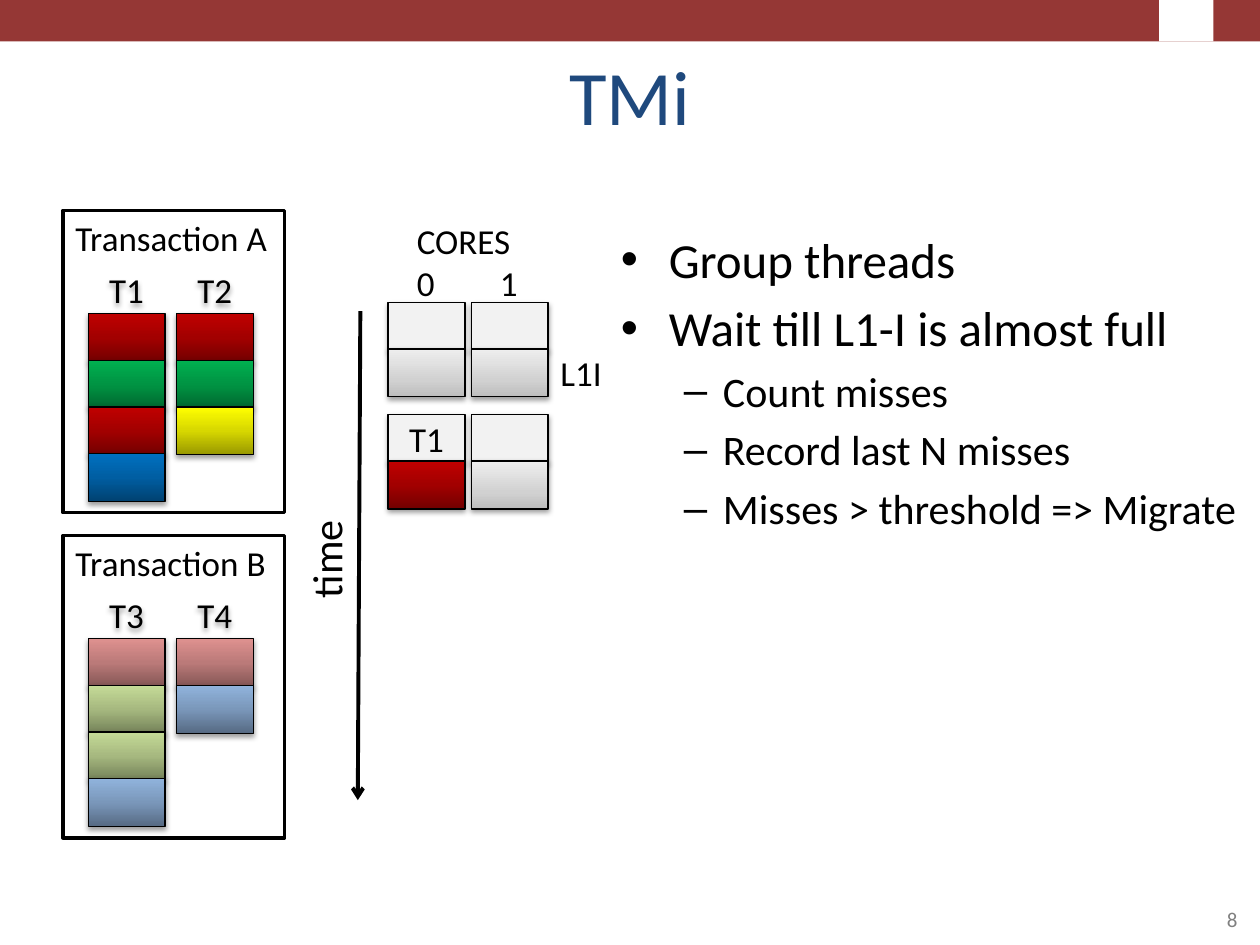
from copy import deepcopy
from dataclasses import dataclass

from lxml import etree
from pptx import Presentation
from pptx.dml.color import RGBColor
from pptx.enum.shapes import MSO_CONNECTOR, MSO_SHAPE
from pptx.enum.text import MSO_ANCHOR, PP_ALIGN
from pptx.oxml.ns import qn
from pptx.util import Inches, Pt

RECTANGLE = MSO_SHAPE.RECTANGLE
STRAIGHT = MSO_CONNECTOR.STRAIGHT
LEFT, CENTER, RIGHT = PP_ALIGN.LEFT, PP_ALIGN.CENTER, PP_ALIGN.RIGHT
TOP, MIDDLE, BOTTOM = MSO_ANCHOR.TOP, MSO_ANCHOR.MIDDLE, MSO_ANCHOR.BOTTOM


@dataclass(frozen=True)
class Theme:
    """Colours, gradients (position and colour, bottom to top) and type sizes."""
    font: str = "Calibri"
    black: str = "000000"
    white: str = "FFFFFF"
    title: str = "1F497D"
    number: str = "808080"
    header: str = "953735"
    empty: str = "F2F2F2"
    gray: tuple = ((0, "BDBDBD"), (0.35, "D1D1D1"), (1, "EEEEEE"))
    red: tuple = ((0, "720000"), (0.5, "A20000"), (1, "C00000"))
    green: tuple = ((0, "00682F"), (0.5, "009443"), (1, "00B050"))
    yellow: tuple = ((0, "979700"), (0.5, "D7D700"), (1, "FFFF00"))
    blue: tuple = ((0, "004272"), (0.5, "005EA2"), (1, "0070C0"))
    pink: tuple = ((0, "845655"), (0.5, "BB7A79"), (1, "DE918F"))
    olive: tuple = ((0, "748259"), (0.5, "A6B87F"), (1, "C5DB97"))
    steel: tuple = ((0, "566A83"), (0.5, "7A97BA"), (1, "90B3DC"))
    title_size: int = 44
    bullet_size: int = 28
    sub_size: int = 24
    label_size: int = 20
    number_size: int = 12


THEME = Theme()
BLOCK_WIDTH, BLOCK_HEIGHT, BLOCK_STEP = 0.61, 0.38, 0.37


def rgb(color):
    """Turn a hex string into a colour."""
    return RGBColor.from_string(color)


def write_text(paragraph, text, size=THEME.label_size, color=THEME.black, align=LEFT):
    """Put one formatted run into a paragraph."""
    paragraph.alignment = align
    run = paragraph.add_run()
    run.text = text
    run.font.name = THEME.font
    run.font.size = Pt(size)
    run.font.color.rgb = rgb(color)


def add_text(slide, box, text, anchor=TOP, wrap=True, **text_format):
    """Add a text box holding one paragraph."""
    shape = slide.shapes.add_textbox(*map(Inches, box))
    shape.text_frame.word_wrap = wrap
    shape.text_frame.vertical_anchor = anchor
    write_text(shape.text_frame.paragraphs[0], text, **text_format)
    return shape


def add_shadow(shape):
    """Give a shape a soft shadow straight below it."""
    properties = shape._element.spPr
    for effects in properties.findall(qn("a:effectLst")):
        properties.remove(effects)
    effects = etree.SubElement(properties, qn("a:effectLst"))
    shadow = etree.SubElement(effects, qn("a:outerShdw"), blurRad=str(Pt(3.1)),
                              dist=str(Pt(1.6)), dir="5400000", rotWithShape="0")
    color = etree.SubElement(shadow, qn("a:srgbClr"), val=THEME.black)
    etree.SubElement(color, qn("a:alpha"), val="38000")


def fill_gradient(shape, stops):
    """Fill a shape with a vertical gradient of three stops."""
    shape.fill.gradient()
    shape.fill.gradient_angle = 90
    stop_list = shape._element.spPr.find(".//" + qn("a:gsLst"))
    stop_list.append(deepcopy(stop_list[-1]))
    for stop, (position, color) in zip(shape.fill.gradient_stops, stops):
        stop.position = position
        stop.color.rgb = rgb(color)


def add_rectangle(slide, box, fill=None, line=None, line_width=0.75):
    """Add a rectangle with a plain, gradient or absent fill."""
    shape = slide.shapes.add_shape(RECTANGLE, *map(Inches, box))
    shape.shadow.inherit = False
    if fill is None:
        shape.fill.background()
    elif isinstance(fill, str):
        shape.fill.solid()
        shape.fill.fore_color.rgb = rgb(fill)
    else:
        fill_gradient(shape, fill)
    if line:
        shape.line.color.rgb = rgb(line)
        shape.line.width = Pt(line_width)
    else:
        shape.line.fill.background()
    return shape


def add_block(slide, left, top, fill):
    """Add one outlined cache block with a shadow."""
    block = add_rectangle(slide, (left, top, BLOCK_WIDTH, BLOCK_HEIGHT), fill, THEME.black)
    add_shadow(block)
    return block


def add_header(slide, box):
    """Draw the top bar with a plain badge near its right end."""
    left, top, width, height = box
    add_rectangle(slide, box, THEME.header)
    add_rectangle(slide, (left + width - 0.8, top, 0.43, height), THEME.white)


def add_transaction(slide, box, name, threads):
    """Draw a framed transaction with a column of blocks for each thread."""
    left, top, width, _ = box
    add_rectangle(slide, box, line=THEME.black, line_width=2)
    add_text(slide, (left, top, width, 0.44), name)
    for column, (thread, fills) in enumerate(threads.items()):
        block_left, block_top = left + 0.2 + 0.7 * column, top + 0.82
        label = add_text(slide, (block_left, block_top - BLOCK_HEIGHT, BLOCK_WIDTH, BLOCK_HEIGHT),
                         thread, anchor=MIDDLE, align=CENTER)
        add_shadow(label)
        for row, fill in enumerate(fills):
            add_block(slide, block_left, block_top + BLOCK_STEP * row, fill)


def add_cores(slide, box, steps):
    """Draw the cores' state at each time step as (thread, fill) pairs."""
    left, top, width, _ = box
    add_text(slide, (left + 0.13, top, 0.95, 0.44), "CORES", wrap=False)
    for core in range(2):
        core_left = left + 0.66 * core
        add_text(slide, (core_left + 0.13, top + 0.34, 0.34, 0.44), str(core), wrap=False)
        for step, cores in enumerate(steps):
            thread, fill = cores[core]
            step_top = top + 0.71 + 0.89 * step
            head = add_block(slide, core_left, step_top, THEME.empty)
            if thread:
                head.text_frame.vertical_anchor = MIDDLE
                write_text(head.text_frame.paragraphs[0], thread, align=CENTER)
            add_block(slide, core_left, step_top + BLOCK_STEP, fill)
    add_text(slide, (left + width, top + 1.05, 0.53, 0.44), "L1I", wrap=False)


def add_time_axis(slide, box):
    """Draw the downward time arrow and its rotated label."""
    left, top, width, height = box
    right, bottom = left + width, top + height
    arrow = slide.shapes.add_connector(
        STRAIGHT, *map(Inches, (right - 0.02, bottom, right, top)))
    arrow.line.color.rgb = rgb(THEME.black)
    arrow.line.width = Pt(2.25)
    etree.SubElement(arrow.line._get_or_add_ln(), qn("a:headEnd"), type="arrow")
    etree.SubElement(arrow._element.spPr, qn("a:effectLst"))
    label = add_text(slide, (left - 0.16, top + 1.71, 0.83, 0.5), "time",
                     wrap=False, size=THEME.sub_size)
    label.rotation = 270


def add_bullets(slide, box, items):
    """Write (level, text) items as a two-level bulleted list."""
    styles = (("•", THEME.bullet_size, 0.38, 0.38), ("–", THEME.sub_size, 0.81, 0.31))
    frame = slide.shapes.add_textbox(*map(Inches, box)).text_frame
    frame.word_wrap = True
    for index, (level, text) in enumerate(items):
        bullet, size, margin, hanging = styles[level]
        paragraph = frame.add_paragraph() if index else frame.paragraphs[0]
        paragraph.level = level
        paragraph.space_before = Pt(0.2 * size)
        write_text(paragraph, text, size=size)
        properties = paragraph._p.get_or_add_pPr()
        properties.set("marL", str(Inches(margin)))
        properties.set("indent", str(-Inches(hanging)))
        etree.SubElement(properties, qn("a:buFont"), typeface="Arial")
        etree.SubElement(properties, qn("a:buChar"), char=bullet)


def main():
    """Build the slide and save it."""
    presentation = Presentation()
    presentation.slide_width, presentation.slide_height = Inches(10), Inches(7.5)
    slide = presentation.slides.add_slide(presentation.slide_layouts[6])
    add_header(slide, (0, 0, 10, 0.33))
    add_text(slide, (0.5, 0.3, 9, 0.87), "TMi", anchor=BOTTOM, align=CENTER,
             size=THEME.title_size, color=THEME.title)
    add_transaction(slide, (0.5, 1.67, 1.76, 2.4), "Transaction A", {
        "T1": (THEME.red, THEME.green, THEME.red, THEME.blue),
        "T2": (THEME.red, THEME.green, THEME.yellow)})
    add_transaction(slide, (0.5, 4.25, 1.76, 2.4), "Transaction B", {
        "T3": (THEME.pink, THEME.olive, THEME.olive, THEME.steel),
        "T4": (THEME.pink, THEME.steel)})
    idle = ("", THEME.gray)
    add_cores(slide, (3.08, 1.69, 1.27, 2.35), ((idle, idle), (("T1", THEME.red), idle)))
    add_time_axis(slide, (2.33, 2.47, 0.53, 3.88))
    add_bullets(slide, (4.83, 1.77, 5.17, 2.57), (
        (0, "Group threads"), (0, "Wait till L1-I is almost full"), (1, "Count misses"),
        (1, "Record last N misses"), (1, "Misses > threshold => Migrate")))
    add_text(slide, (7.25, 6.92, 2.67, 0.52), "8", anchor=BOTTOM, align=RIGHT,
             size=THEME.number_size, color=THEME.number)
    presentation.save("out.pptx")


if __name__ == "__main__":
    main()
